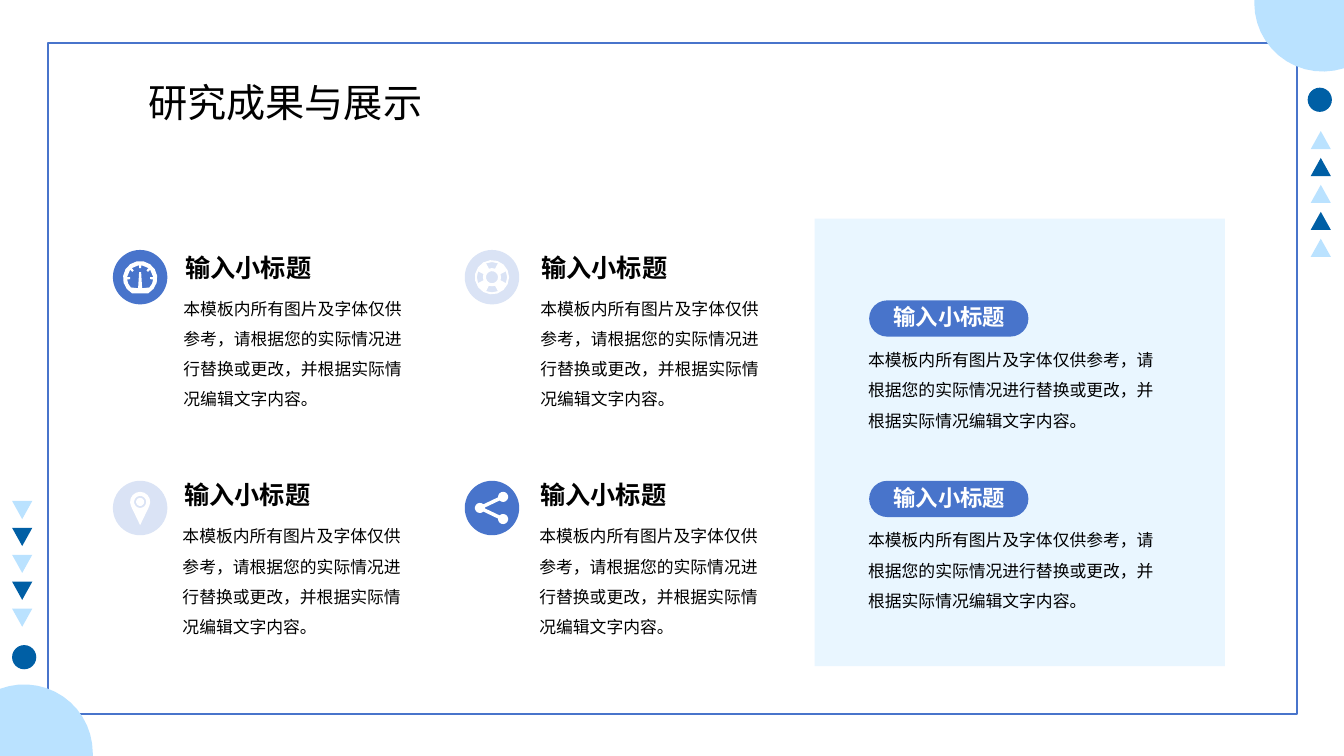
from math import acos, cos, degrees, radians, sin

from lxml.etree import SubElement
from pptx import Presentation
from pptx.dml.color import RGBColor
from pptx.enum.shapes import MSO_SHAPE
from pptx.enum.text import MSO_AUTO_SIZE, PP_ALIGN
from pptx.oxml.ns import qn
from pptx.util import Inches, Pt

WIDTH, HEIGHT = 13.33, 7.5
BLUE, PALE, SKY, NAVY = "4874CB", "DAE3F5", "BAE2FF", "005FA5"
WHITE, BLACK = "FFFFFF", "000000"
HEADING = "输入小标题"
BODY = ("本模板内所有图片及字体仅供参考，请根据您的实际情况进行替换或更改，"
        "并根据实际情况编辑文字内容。")


def color(hex_value):
    return RGBColor.from_string(hex_value)


def paint(shape, fill, line=None):
    shape.shadow.inherit = False
    if fill:
        shape.fill.solid()
        shape.fill.fore_color.rgb = color(fill)
    else:
        shape.fill.background()
    if line:
        shape.line.color.rgb = color(line)
        shape.line.width = Pt(1.5)
    else:
        shape.line.fill.background()
    return shape


def add_preset(shapes, kind, box, fill, line=None):
    return paint(shapes.add_shape(kind, *map(Inches, box)), fill, line)


def add_disc(shapes, x, y, radius, fill):
    box = (x - radius, y - radius, 2 * radius, 2 * radius)
    return add_preset(shapes, MSO_SHAPE.OVAL, box, fill)


def arc(x, y, radius, start, end, step=24):
    """Points on a circle; angles run clockwise from the right."""
    steps = max(1, round(abs(end - start) / step))
    angles = [radians(start + (end - start) * i / steps) for i in range(steps + 1)]
    return [(x + radius * cos(a), y + radius * sin(a)) for a in angles]


def add_outline(shapes, contours, fill):
    builder = None
    for contour in contours:
        points = [(Inches(x), Inches(y)) for x, y in contour]
        if builder is None:
            builder = shapes.build_freeform(*points[0])
        else:
            builder.move_to(*points[0])
        builder.add_line_segments(points[1:], close=True)
    return paint(builder.convert_to_shape(), fill)


def add_text(shapes, box, text, size, bold=False, margins=(0.1, 0.05),
             spacing=None, align=None, fill=BLACK, wrap=True):
    frame = shapes.add_textbox(*map(Inches, box)).text_frame
    side, edge = map(Inches, margins)
    frame_format = {"word_wrap": wrap, "auto_size": MSO_AUTO_SIZE.SHAPE_TO_FIT_TEXT,
                    "margin_left": side, "margin_right": side,
                    "margin_top": edge, "margin_bottom": edge}
    for name, value in frame_format.items():
        setattr(frame, name, value)
    paragraph = frame.paragraphs[0]
    paragraph.line_spacing = spacing
    paragraph.alignment = align
    run = paragraph.add_run()
    run.text = text
    for name, value in {"name": "Calibri", "size": Pt(size), "bold": bold}.items():
        setattr(run.font, name, value)
    run.font.color.rgb = color(fill)


def add_body(shapes, left, top, width, height):
    add_text(shapes, (left, top, width, height), BODY, 12,
             margins=(0.07, 0.03), spacing=1.5)


# Icons, each drawn around the centre of its disc
def draw_gauge(shapes, x, y):
    y += 0.01
    dial = arc(x, y, 0.17, 118, 422)
    face, start = [], 135
    for tick in range(180, 361, 45):
        face += arc(x, y, 0.13, start, tick - 5)
        face += arc(x, y, 0.1, tick - 6, tick + 6)
        start = tick + 5
    face += arc(x, y, 0.13, start, 405)
    needle = [(0.02, 0.1), (0.01, -0.06), (-0.01, -0.06), (-0.02, 0.1)]
    face += [(x + dx, y + dy) for dx, dy in needle]
    add_outline(shapes, [dial, face], WHITE)


def draw_lifebuoy(shapes, x, y):
    gaps = [arc(x, y, 0.15, a - 23, a + 23) + arc(x, y, 0.09, a + 20, a - 20)
            for a in range(0, 360, 90)]
    rings = [arc(x, y, radius, 0, 360) for radius in (0.17, 0.06)]
    add_outline(shapes, rings + gaps, WHITE)


def draw_pin(shapes, x, y):
    y -= 0.06
    drop = arc(x, y, 0.1, 153, 387) + [(x, y + 0.23)]
    rings = [arc(x, y, radius, 0, 360) for radius in (0.06, 0.04)]
    add_outline(shapes, [drop] + rings, WHITE)


def draw_share(shapes, x, y):
    hub_x, node_x = x - 0.12, x + 0.11
    outline = (arc(hub_x, y, 0.05, 46, 314)
               + arc(node_x, y - 0.11, 0.05, 175, 494)
               + arc(hub_x, y, 0.05, -5, 5)
               + arc(node_x, y + 0.11, 0.05, 226, 545))
    add_outline(shapes, [outline], WHITE)


def add_card(slide, column, row, disc_fill, draw_icon):
    icon = slide.shapes.add_group_shape().shapes
    x, y = 1.39 + 3.49 * column, 2.75 + 2.29 * row
    add_disc(icon, x, y, 0.27, disc_fill)
    draw_icon(icon, x, y)
    left, top = 1.75 + 3.54 * column - 0.01 * row, 2.45 + 2.26 * row
    add_body(slide.shapes, left, top + 0.38, 2.33, 1.25)
    heading_left = left - 0.01 - 0.01 * column
    add_text(slide.shapes, (heading_left, top, 2.11, 0.4), HEADING, 18, bold=True)


def add_panel_entry(slide, top):
    pill = slide.shapes.add_group_shape().shapes
    shape = add_preset(pill, MSO_SHAPE.ROUNDED_RECTANGLE, (8.62, top, 1.58, 0.36), BLUE)
    shape.adjustments[0] = 0.5
    add_text(pill, (8.75, top - 0.02, 1.33, 0.37), HEADING, 16, bold=True,
             align=PP_ALIGN.CENTER, fill=WHITE, wrap=False)
    add_body(slide.shapes, 8.54, top + 0.36, 3.12, 0.94)


def add_markers(slide, left, top, rotation, disc_center):
    markers = slide.shapes.add_group_shape().shapes
    for i in range(5):
        box = (left, top + 0.267 * i, 0.2, 0.18)
        triangle = add_preset(markers, MSO_SHAPE.ISOSCELES_TRIANGLE, box,
                              NAVY if i % 2 else SKY)
        triangle.rotation = rotation
    add_disc(markers, *disc_center, 0.12, NAVY)


def add_corner(slide, edge_x, edge_y, inset, turn):
    """Disc cut by a slide corner; turn 0 is top right, 180 bottom left."""
    side = -1 if turn else 1
    radius = 0.68
    x, y = edge_x - side * inset, edge_y + side * 0.03
    cut = degrees(acos(inset / radius))
    rim = arc(x, y, radius, 180 + turn, cut + turn, 8)
    corner = [(edge_x, edge_y), (x - side * radius, edge_y)]
    add_outline(slide.shapes, [corner + rim], SKY)


def main():
    presentation = Presentation()
    presentation.slide_width = Inches(WIDTH)
    presentation.slide_height = Inches(HEIGHT)
    slide = presentation.slides.add_slide(presentation.slide_layouts[6])
    shapes = slide.shapes

    # Frame, corner discs and side markers
    add_preset(shapes, MSO_SHAPE.RECTANGLE, (0.48, 0.43, 12.38, 6.65), None, BLUE)
    add_corner(slide, WIDTH, 0, 0.21, 0)
    add_markers(slide, 13, 1.3, 0, (13.09, 0.99))
    add_corner(slide, 0, HEIGHT, 0.24, 180)
    add_markers(slide, 0.12, 4.97, 180, (0.24, 6.52))

    # Four cards
    add_card(slide, 0, 0, BLUE, draw_gauge)
    add_card(slide, 1, 0, PALE, draw_lifebuoy)
    add_card(slide, 0, 1, PALE, draw_pin)
    add_card(slide, 1, 1, BLUE, draw_share)

    # Translucent panel with two entries
    panel = add_preset(shapes, MSO_SHAPE.RECTANGLE, (8.08, 2.17, 4.07, 4.44), SKY)
    panel_color = panel._element.spPr.find(qn("a:solidFill"))[0]
    SubElement(panel_color, qn("a:alpha"), val="31000")
    for top in (2.98, 4.77):
        add_panel_entry(slide, top)

    # Title
    add_text(shapes, (1.47, 0.78, 3.6, 0.47), "研究成果与展示", 28, margins=(0, 0))
    presentation.save("out.pptx")


if __name__ == "__main__":
    main()
